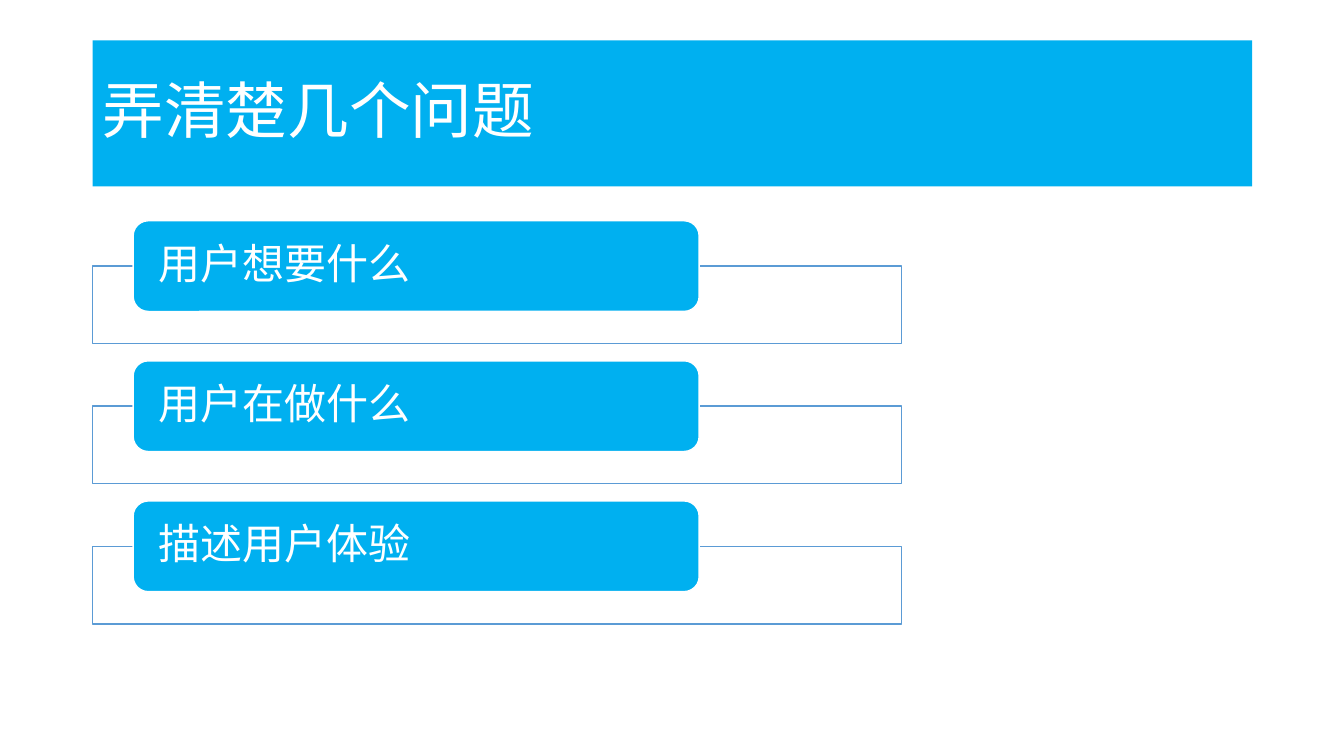
from lxml import etree
from pptx import Presentation
from pptx import util as u
from pptx.dml.color import RGBColor
from pptx.enum import shapes, text
from pptx.oxml import ns

COLOURS = {"accent": "00B0F0", "paper": "FFFFFF", "outline": "5B9BD5"}
FONT = "Noto Sans CJK SC"
QUESTIONS = ["用户想要什么", "用户在做什么", "描述用户体验"]


def colour(name):
    """Return the named palette colour."""
    return RGBColor.from_string(COLOURS[name])


def add_panel(page, kind, box, fill, line=None):
    """Add a flat shape in a box given as left, top, width, height."""
    panel = page.shapes.add_shape(kind, *[u.Inches(length) for length in box])
    panel.shadow.inherit = False
    panel.fill.solid()
    panel.fill.fore_color.rgb = colour(fill)
    if line:
        panel.line.color.rgb = colour(line)
        panel.line.width = u.Pt(1)
    else:
        panel.line.fill.background()
    return panel


def write_label(panel, words, size, side, edge):
    """Write one left-aligned white line inside a panel."""
    frame = panel.text_frame
    frame.word_wrap = True
    frame.vertical_anchor = text.MSO_ANCHOR.MIDDLE
    frame.margin_left = frame.margin_right = u.Inches(side)
    frame.margin_top = frame.margin_bottom = u.Inches(edge)
    para = frame.paragraphs[0]
    para.alignment = text.PP_ALIGN.LEFT
    para.line_spacing = 0.9
    span = para.add_run()
    span.text = words
    span.font.size = u.Pt(size)
    span.font.name = FONT
    span.font.color.rgb = colour("paper")
    east_asian = etree.SubElement(span.font._element, ns.qn("a:ea"))
    east_asian.set("typeface", FONT)


def add_title(page, box, words):
    """Add the title banner."""
    banner = add_panel(page, shapes.MSO_SHAPE.RECTANGLE, box, "accent")
    write_label(banner, words, 44, 0.1, 0.05)


def add_question(page, box, words):
    """Add an outlined frame with a rounded label over its top edge."""
    left, top, width, height = box
    label_height = 0.9
    frame_box = (left, top + label_height / 2, width, height - label_height / 2)
    frame = add_panel(page, shapes.MSO_SHAPE.RECTANGLE, frame_box, "paper", "outline")
    fill = frame.fill._xPr.find(ns.qn("a:solidFill"))
    etree.SubElement(fill[0], ns.qn("a:alpha")).set("val", "90000")
    label_box = (left + width * 0.05, top, width * 0.7, label_height)
    label = add_panel(page, shapes.MSO_SHAPE.ROUNDED_RECTANGLE, label_box, "accent", "paper")
    write_label(label, words, 30, 0.21, 0)


def add_question_list(page, box, questions):
    """Stack the questions at equal steps in the box."""
    left, top, width, height = box
    item_height = 1.22
    step = (height - item_height) / (len(questions) - 1)
    for index, words in enumerate(questions):
        add_question(page, (left, top + index * step, width, item_height), words)


def main():
    """Build and save the deck."""
    deck = Presentation()
    deck.slide_width, deck.slide_height = u.Inches(13.33), u.Inches(7.5)
    page = deck.slides.add_slide(deck.slide_layouts[6])
    add_title(page, (0.92, 0.4, 11.5, 1.45), "弄清楚几个问题")
    add_question_list(page, (0.92, 2.19, 8.02, 4), QUESTIONS)
    deck.save("out.pptx")


if __name__ == "__main__":
    main()
